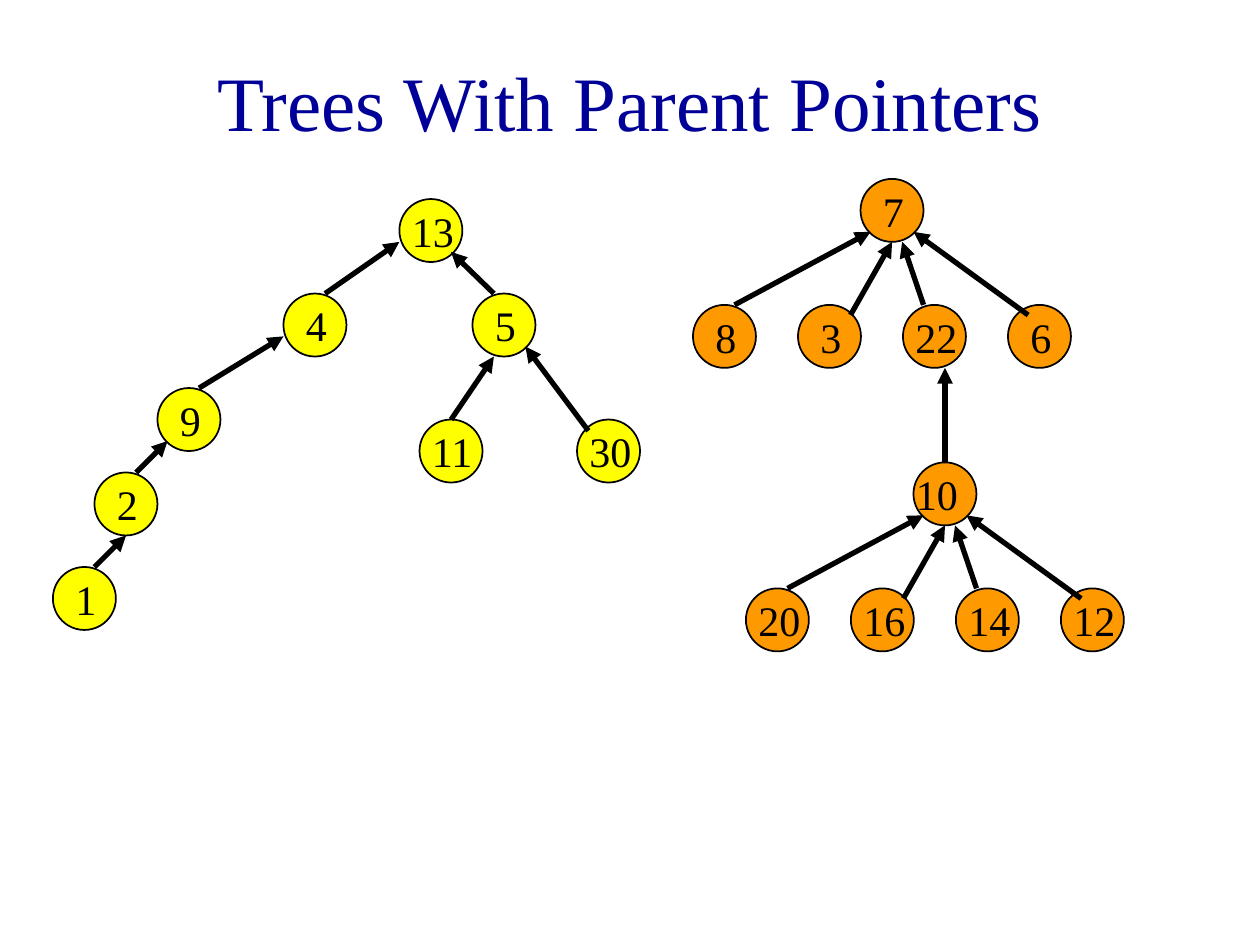
from lxml.etree import SubElement as Sub
from pptx import Presentation
from pptx.dml.color import RGBColor as RGB
from pptx.enum.shapes import MSO_CONNECTOR as Conn, MSO_SHAPE as Shape
from pptx.enum.text import MSO_ANCHOR as Anchor, MSO_AUTO_SIZE as Auto, PP_ALIGN as Align
from pptx.oxml.ns import qn
from pptx.util import Inches, Pt


def paint(color, value):
    color.rgb = RGB.from_string(value)


def write(shapes, text, box, size, value):
    frame = shapes.add_textbox(*map(Inches, box)).text_frame
    frame.word_wrap = True
    frame.text = text
    font = frame.paragraphs[0].runs[0].font
    font.name, font.size = "Times New Roman", Pt(size)
    paint(font.color, value)
    return frame


deck = Presentation()
deck.slide_width, deck.slide_height = Inches(10), Inches(7.5)
slide = deck.slides.add_slide(deck.slide_layouts[6])

# Title
title = write(slide.shapes, "Trees With Parent Pointers", (0.75, 0.17, 8.5, 1.25), 44, "000099")
title.vertical_anchor = Anchor.MIDDLE
title.paragraphs[0].alignment = Align.CENTER

# Left tree: nodes as label, left, top; arrows from child to parent
left_nodes = [
    ("13", 3.17, 1.58), ("4", 2.25, 2.33), ("5", 3.75, 2.33),
    ("9", 1.25, 3.08), ("11", 3.33, 3.33), ("30", 4.58, 3.33),
    ("2", 0.75, 3.75), ("1", 0.42, 4.5),
]
left_arrows = [
    (2.58, 2.33, 3.17, 1.92), (3.92, 2.33, 3.58, 2), (1.58, 3.08, 2.25, 2.67),
    (1.08, 3.75, 1.33, 3.5), (0.75, 4.5, 1, 4.25),
    (3.58, 3.33, 3.92, 2.83), (4.67, 3.42, 4.17, 2.75),
]

# Right tree: two fans of four children, the lower one hung under 22
fans = [("7", 6.83, 1.42, ("8", "3", "22", "6")),
        ("10", 7.25, 3.67, ("20", "16", "14", "12"))]
fan_arrows = [(-1, 1, 0.08, 0.42), (-0.08, 1.08, 0.25, 0.5),
              (0.5, 1, 0.33, 0.5), (1.33, 1.08, 0.42, 0.42)]
right_nodes, right_arrows = [], [(7.5, 3.67, 7.5, 2.92)]
for root, x, y, kids in fans:
    right_nodes.append((root, x, y))
    for i, kid in enumerate(kids):
        right_nodes.append((kid, x - 1.33 + i * 2.5 / 3, y + 1))
    for x1, y1, x2, y2 in fan_arrows:
        right_arrows.append((x + x1, y + y1, x + x2, y + y2))

for fill, nodes, arrows in [("FFFF00", left_nodes, left_arrows),
                            ("FF9900", right_nodes, right_arrows)]:
    tree = slide.shapes.add_group_shape().shapes

    # Circles
    for label, x, y in nodes:
        node = tree.add_shape(Shape.OVAL, *map(Inches, (x, y, 0.5, 0.5)))
        node.shadow.inherit = False
        node.fill.solid()
        paint(node.fill.fore_color, fill)
        paint(node.line.color, "000000")
        node.line.width = Pt(1)

    # Parent pointers
    for ends in arrows:
        arrow = tree.add_connector(Conn.STRAIGHT, *map(Inches, ends))
        paint(arrow.line.color, "000000")
        arrow.line.width = Pt(3)
        Sub(arrow.line._get_or_add_ln(), qn("a:tailEnd"), type="triangle")
        Sub(arrow._element.spPr, qn("a:effectLst"))

    # Labels: single digits sit further in, 10 sits further left
    for label, x, y in nodes:
        shift = 0.08 if len(label) == 1 else -0.08 if label == "10" else 0
        width = 0.33 if len(label) == 1 else 0.75
        frame = write(tree, label, (x + shift, y, width, 0.5), 24, "000000")
        frame.auto_size = Auto.SHAPE_TO_FIT_TEXT
        frame.paragraphs[0].space_before = Pt(15)

deck.save("out.pptx")
